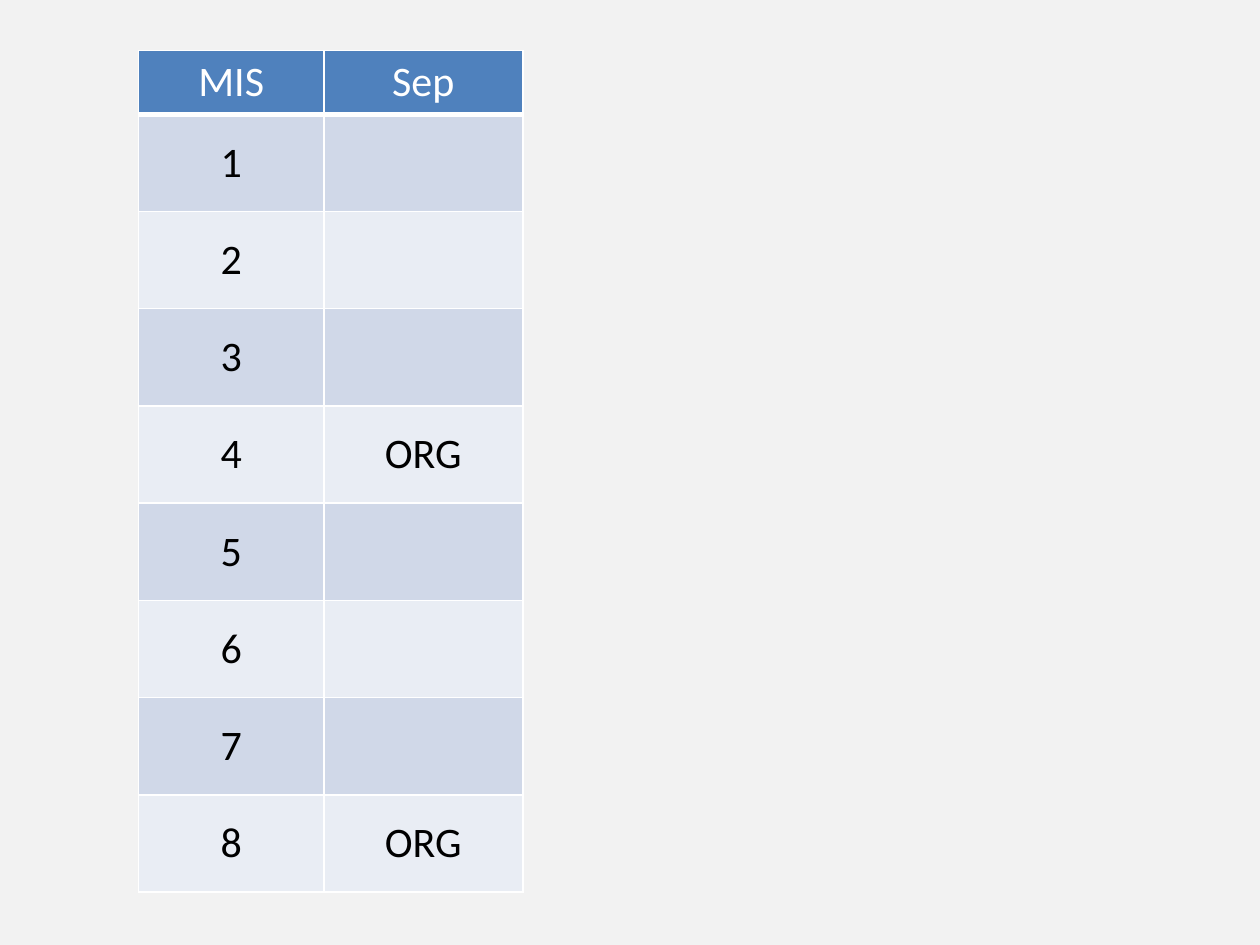
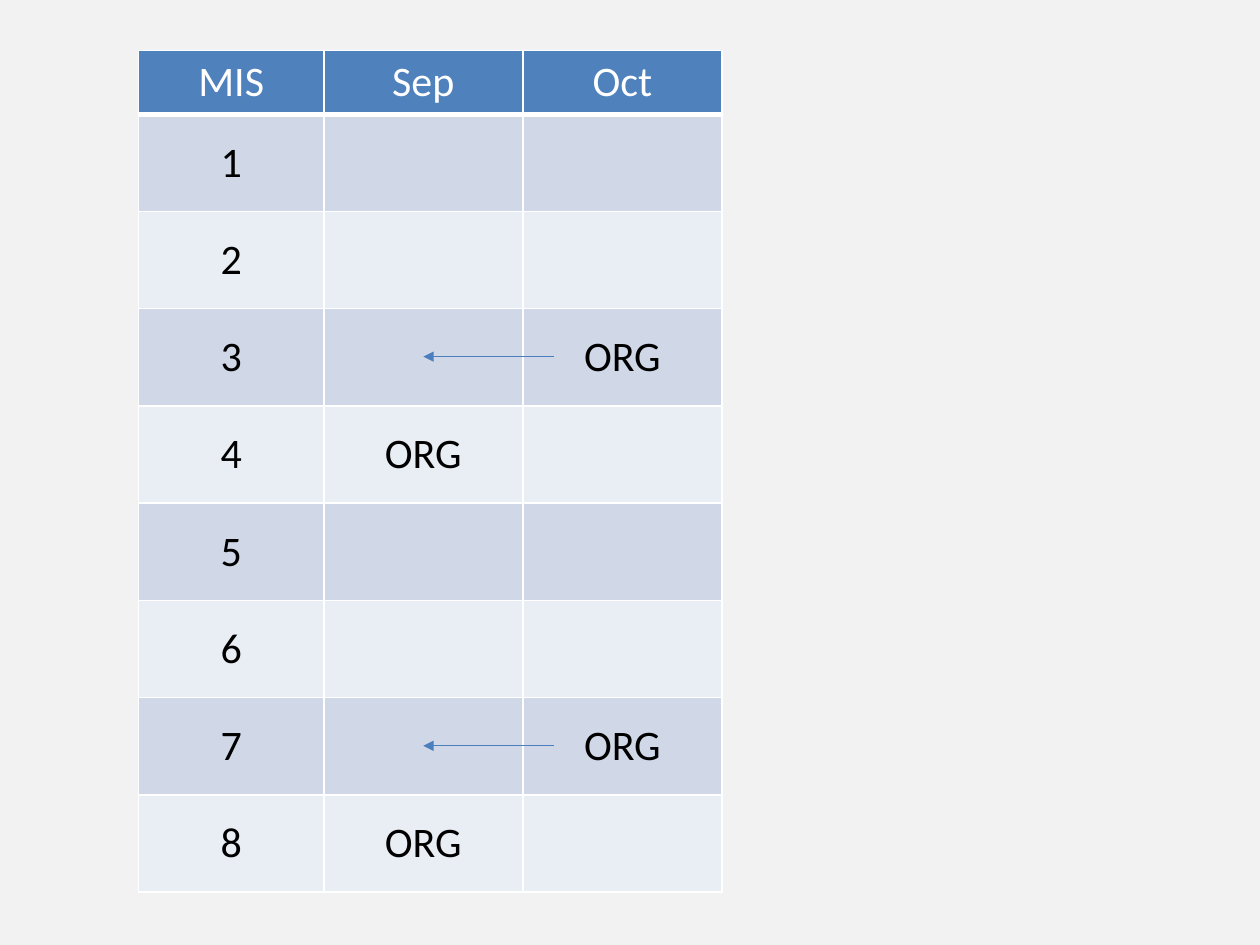
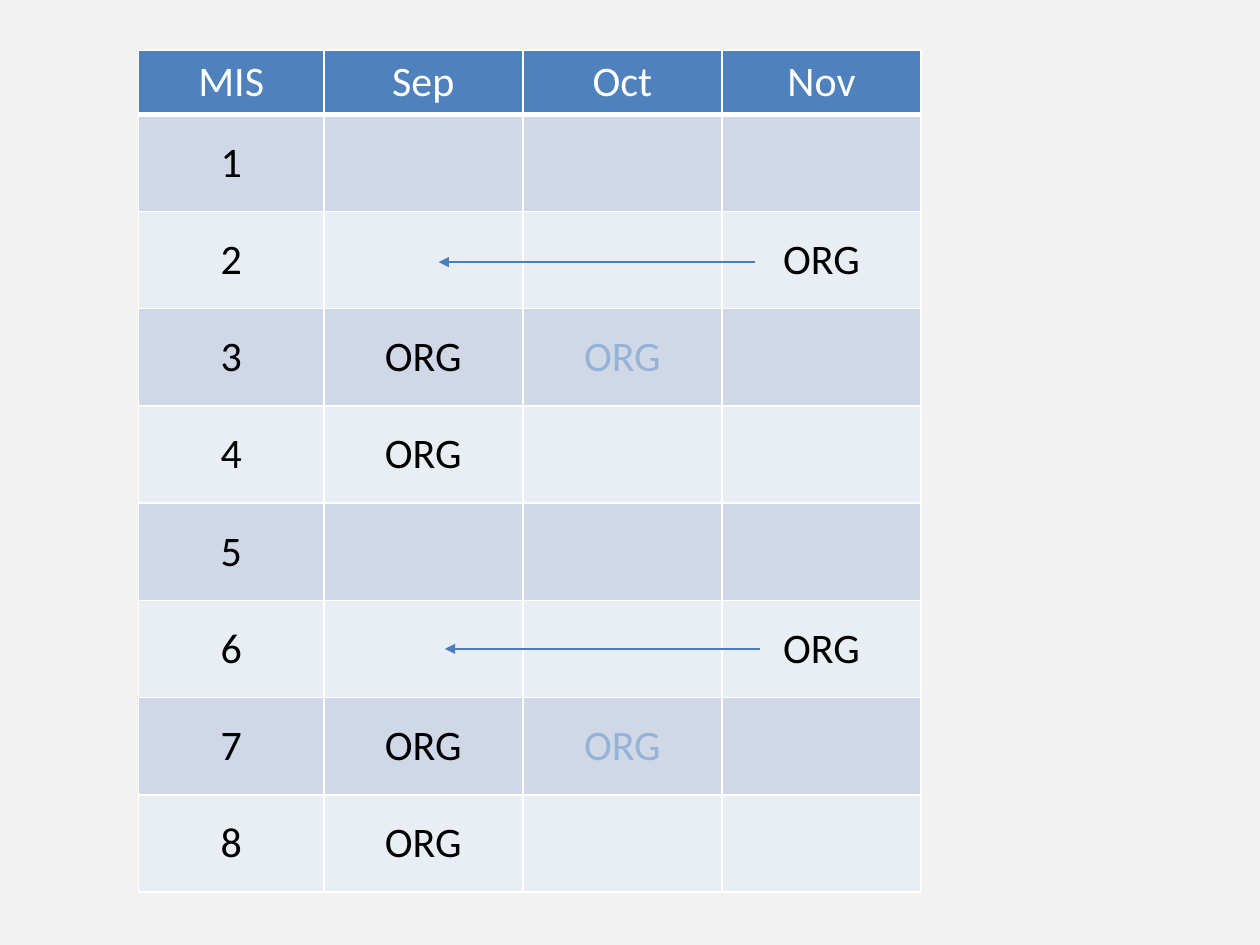
from lxml.etree import SubElement
from pptx import Presentation
from pptx.dml.color import RGBColor
from pptx.enum.shapes import MSO_CONNECTOR
from pptx.enum.text import MSO_ANCHOR, PP_ALIGN
from pptx.oxml.ns import qn
from pptx.util import Pt

COLORS = {
    "background": "F2F2F2",
    "header": "4F81BD",
    "odd_row": "D0D8E8",
    "even_row": "E9EDF4",
    "border": "FFFFFF",
    "header_text": "FFFFFF",
    "text": "000000",
    "moved_text": "95B3D7",
    "arrow": "4B7EBC",
}
FONT = "Calibri"
FONT_SIZE = 24
MARK = "ORG"
ROW_COUNT = 8

TABLE_LEFT, TABLE_TOP = 79.2, 28.8
FIRST_COLUMN_WIDTH, MONTH_WIDTH = 105.84, 113.76
HEADER_HEIGHT, ROW_HEIGHT = 31, 55.56

# marks and moved: rows holding the mark under each month
# arrows: start x, end x, y
SCHEDULES = [
    {"months": ["Sep"], "marks": {"Sep": [4, 8]}, "moved": {}, "arrows": []},
    {
        "months": ["Sep", "Oct"],
        "marks": {"Sep": [4, 8], "Oct": [3, 7]},
        "moved": {},
        "arrows": [(316.8, 241.9, 203.8), (316.8, 241.9, 426.2)],
    },
    {
        "months": ["Sep", "Oct", "Nov"],
        "marks": {"Sep": [3, 4, 7, 8], "Nov": [2, 6]},
        "moved": {"Oct": [3, 7]},
        "arrows": [(434.2, 254.2, 370.8), (431.3, 250.6, 149.8)],
    },
]


def rgb(name):
    return RGBColor.from_string(COLORS[name])


def set_borders(cell, bottom_width):
    properties = cell._tc.get_or_add_tcPr()
    widths = {"a:lnL": 1, "a:lnR": 1, "a:lnT": 1, "a:lnB": bottom_width}
    for position, (tag, width) in enumerate(widths.items()):
        line = SubElement(properties, qn(tag), w=str(Pt(width)))
        fill = SubElement(line, qn("a:solidFill"))
        SubElement(fill, qn("a:srgbClr"), val=COLORS["border"])
        properties.insert(position, line)  # borders come before the fill


def write_cell(cell, text, color):
    cell.vertical_anchor = MSO_ANCHOR.MIDDLE
    paragraph = cell.text_frame.paragraphs[0]
    paragraph.alignment = PP_ALIGN.CENTER
    run = paragraph.add_run()
    run.text = text
    run.font.name = FONT
    run.font.size = Pt(FONT_SIZE)
    run.font.bold = False
    run.font.color.rgb = rgb(color)


def cell_content(schedule, row, month):
    """Return the text and colour name for one month cell."""
    if row in schedule["marks"].get(month, []):
        return MARK, "text"
    if row in schedule["moved"].get(month, []):
        return MARK, "moved_text"
    return "", "text"


def add_schedule_table(slide, schedule):
    months = schedule["months"]
    rows = [[(name, "header_text") for name in ["MIS", *months]]]
    for number in range(1, ROW_COUNT + 1):
        marks = [cell_content(schedule, number, month) for month in months]
        rows.append([(str(number), "text"), *marks])

    table = slide.shapes.add_table(
        len(rows), len(rows[0]), Pt(TABLE_LEFT), Pt(TABLE_TOP),
        Pt(FIRST_COLUMN_WIDTH + MONTH_WIDTH * len(months)),
        Pt(HEADER_HEIGHT + ROW_HEIGHT * ROW_COUNT),
    ).table
    for index, column in enumerate(table.columns):
        column.width = Pt(MONTH_WIDTH if index else FIRST_COLUMN_WIDTH)
    for row_index, contents in enumerate(rows):
        table.rows[row_index].height = Pt(ROW_HEIGHT if row_index else HEADER_HEIGHT)
        band = ("odd_row" if row_index % 2 else "even_row") if row_index else "header"
        for column_index, (text, color) in enumerate(contents):
            cell = table.cell(row_index, column_index)
            cell.fill.solid()
            cell.fill.fore_color.rgb = rgb(band)
            set_borders(cell, 1 if row_index else 3)
            if text:
                write_cell(cell, text, color)


def add_arrow(slide, start, end, y):
    arrow = slide.shapes.add_connector(
        MSO_CONNECTOR.STRAIGHT, Pt(start), Pt(y), Pt(end), Pt(y))
    arrow.line.color.rgb = rgb("arrow")
    arrow.line.width = Pt(0.75)
    SubElement(arrow.line._get_or_add_ln(), qn("a:tailEnd"), type="triangle")
    SubElement(arrow._element.spPr, qn("a:effectLst"))


def main():
    presentation = Presentation()
    presentation.slide_width, presentation.slide_height = Pt(720), Pt(540)
    background = presentation.slide_master.background.fill
    background.solid()
    background.fore_color.rgb = rgb("background")
    blank_layout = presentation.slide_layouts.get_by_name("Blank")
    for schedule in SCHEDULES:
        slide = presentation.slides.add_slide(blank_layout)
        add_schedule_table(slide, schedule)
        for arrow in schedule["arrows"]:
            add_arrow(slide, *arrow)
    presentation.save("out.pptx")


if __name__ == "__main__":
    main()
